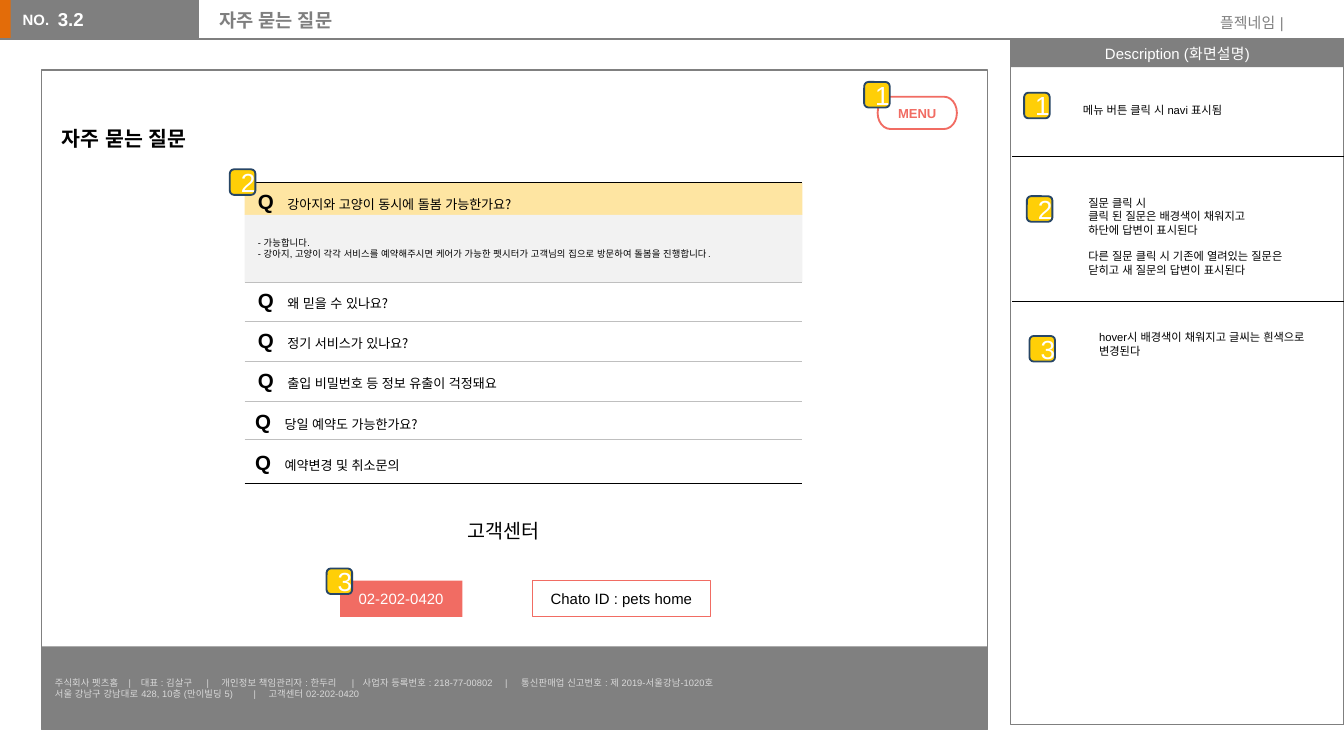
from pptx import Presentation
from pptx import util as u
from pptx.dml.color import RGBColor
from pptx.enum import shapes, text
from pptx.oxml.ns import qn
from lxml import etree

WHITE = RGBColor(0xFF, 0xFF, 0xFF)
BLACK = RGBColor(0, 0, 0)
GRAY = RGBColor(0x7F, 0x7F, 0x7F)
FRAME = RGBColor(0x80, 0x80, 0x80)
RULE = RGBColor(0xBF, 0xBF, 0xBF)
PALE = RGBColor(0xD9, 0xD9, 0xD9)
ANSWER = RGBColor(0xF2, 0xF2, 0xF2)
ORANGE = RGBColor(0xE3, 0x6C, 0x09)
CORAL = RGBColor(0xF1, 0x6C, 0x63)
CREAM = RGBColor(0xFE, 0xE5, 0xA2)
YELLOW = RGBColor(0xFF, 0xCF, 0x07)
NAVY = RGBColor(0x27, 0x46, 0x66)
LATIN, KOREAN = "Arial", "Noto Sans CJK KR"
LEFT, CENTER, RIGHT = text.PP_ALIGN.LEFT, text.PP_ALIGN.CENTER, text.PP_ALIGN.RIGHT
TOP, MIDDLE = text.MSO_ANCHOR.TOP, text.MSO_ANCHOR.MIDDLE
KIND = shapes.MSO_SHAPE
BADGE = 0.19

prs = Presentation()
prs.slide_width, prs.slide_height = u.Inches(10), u.Inches(10 * 9 / 16)
slide = prs.slides.add_slide(prs.slide_layouts[1])


def inches(*values):
    return [u.Inches(v) for v in values]


def add_run(par, words, size, color, bold=False, font=LATIN):
    run = par.add_run()
    run.text = words
    run.font.size, run.font.bold, run.font.name = u.Pt(size), bold, font
    run.font.color.rgb = color
    props = run.font._element
    props.set("lang", "ko-KR")
    props.find(qn("a:latin")).addnext(etree.Element(qn("a:ea"), typeface=font))


def set_tabs(par, stops):
    tabs = etree.SubElement(par._p.get_or_add_pPr(), qn("a:tabLst"))
    for stop in stops:
        etree.SubElement(tabs, qn("a:tab"), pos=str(u.Inches(stop)), algn="l")


def write(holder, lines, size=6, color=BLACK, bold=False, font=LATIN,
          align=LEFT, anchor=TOP, margins=(0.1, 0.05)):
    """Fill a shape with lines; returns its paragraphs."""
    frame = holder.text_frame
    frame.word_wrap, frame.auto_size = True, text.MSO_AUTO_SIZE.NONE
    frame.vertical_anchor = anchor
    frame.margin_left = frame.margin_right = u.Inches(margins[0])
    frame.margin_top = frame.margin_bottom = u.Inches(margins[1])
    for i, words in enumerate(lines):
        par = frame.add_paragraph() if i else frame.paragraphs[0]
        par.alignment = align
        if words:
            add_run(par, words, size, color, bold, font)
    return frame.paragraphs


def label(box, lines, **fmt):
    return write(slide.shapes.add_textbox(*inches(*box)), lines, **fmt)


def block(box, fill=None, line=None, weight=0.75, kind=KIND.RECTANGLE):
    part = slide.shapes.add_shape(kind, *inches(*box))
    part.shadow.inherit = False
    if fill is None:
        part.fill.background()
    else:
        part.fill.solid()
        part.fill.fore_color.rgb = fill
    if line is None:
        part.line.fill.background()
    else:
        part.line.color.rgb, part.line.width = line, u.Pt(weight)
    return part


def rule(x, y, width, color, weight):
    line = slide.shapes.add_connector(shapes.MSO_CONNECTOR.STRAIGHT, *inches(x, y, x + width, y))
    line.line.color.rgb, line.line.width = color, u.Pt(weight)
    etree.SubElement(line._element.spPr, qn("a:effectLst"))


def badge(x, y, number):
    mark = block((x, y, BADGE, BADGE), YELLOW, NAVY, 1, KIND.ROUNDED_RECTANGLE)
    write(mark, [number], size=14, color=WHITE, align=CENTER, anchor=MIDDLE)


def placeholder(holder, box, words, **fmt):
    holder.left, holder.top, holder.width, holder.height = inches(*box)
    par = write(holder, [words], **fmt)[0]
    props = par._p.get_or_add_pPr()
    props.set("marL", "0")
    props.set("indent", "0")
    etree.SubElement(props, qn("a:buNone"))
    slide.shapes._spTree.append(holder._element)  # bring above the bar


def header(x, y, height):
    block((x - 0.01, y, 0.12, height), ORANGE)
    block((x + 0.08, y, 1.4, height), GRAY)
    label((x + 0.07, y + 0.03, 0.41, 0.24), ["NO."], size=8, color=WHITE, bold=True)
    rule(x, y + height, 7.66, GRAY, 0.75)
    label((x + 8.93, y + 0.05, 0.72, 0.24), ["플젝네임 |"], size=8, color=GRAY, align=RIGHT)
    placeholder(slide.shapes.title, (x + 1.53, y - 0.01, 5.61, 0.32), "자주 묻는 질문", size=10,
                color=GRAY, bold=True, font=KOREAN, margins=(0.1, 0.1), anchor=MIDDLE)
    placeholder(slide.placeholders[1], (x + 0.43, y + 0.01, 1.1, 0.31), "3.2", size=10,
                color=WHITE, bold=True, margins=(0, 0.05))


def description(x, y, width, height, notes):
    bar = block((x, y, width, 0.21), GRAY)
    write(bar, ["Description (화면설명)"], size=8, color=WHITE, align=CENTER,
          anchor=MIDDLE, margins=(0.09, 0.04))
    block((x, y, width, height), line=GRAY)
    for dy in (0.87, 1.95):
        rule(x + 0.01, y + dy, width - 0.01, BLACK, 0.25)
    for i, (badge_y, note_x, note_y, note_h, lines) in enumerate(notes):
        badge(x + 0.1 + 0.02 * i, y + badge_y, str(i + 1))
        pars = label((x + note_x, y + note_y, 1.83, note_h), lines)
        if len(lines) > 1:
            pars[-1].space_before = u.Pt(7)


def question(holder, words, anchor=TOP):
    par = write(holder, [""], anchor=anchor)[0]
    set_tabs(par, [0.22])
    add_run(par, "Q", 11, BLACK, True)
    add_run(par, "\t", 14, BLACK)
    add_run(par, words, 7, BLACK, font=KOREAN)


def faq(x, y, width, opened, answer, others):
    question(block((x, y, width, 0.24), CREAM), opened, MIDDLE)
    write(block((x, y + 0.24, width, 0.5), ANSWER), answer, size=5, anchor=MIDDLE)
    for dy in (0.74, 1.03, 1.33, 1.63, 1.91):
        rule(x, y + dy, width, RULE, 0.5)
    for dy in (0, 2.24):
        rule(x, y + dy, width, BLACK, 0.5)
    rows = zip(others, (0, 0, 0, 0.02, 0.02), (0.69, 0.99, 1.29, 1.59, 1.9))
    for words, shift, dy in rows:
        row = (x - shift, y + dy, 3.54, 0.34)
        question(slide.shapes.add_textbox(*inches(*row)), words)
    badge(x - 0.11, y - 0.1, "2")


def contact(x, y):
    label((x + 0.85, y - 0.51, 0.99, 0.28), ["고객센터"], size=10.5, font=KOREAN)
    phone = block((x, y, 0.91, 0.27), CORAL)
    write(phone, ["02-202-0420"], size=8, color=WHITE, align=CENTER, anchor=MIDDLE)
    chat = block((x + 1.43, y, 1.33, 0.27), line=CORAL, weight=0.5)
    write(chat, ["Chato ID : pets home"], size=8, align=CENTER, anchor=MIDDLE)
    badge(x - 0.1, y - 0.09, "3")


def company(box):
    lines = ["주식회사 펫츠홈\t|\t대표 : 김살구\t|\t개인정보 책임관리자 : 한두리\t|\t"
             "사업자 등록번호 : 218-77-00802\t|\t통신판매업 신고번호 : 제 2019-서울강남-1020호",
             "서울 강남구 강남대로 428, 10층 (만이빌딩 5)\t|\t고객센터 02-202-0420"]
    stops = [(0.55, 0.64, 1.13, 1.24, 2.21, 2.29, 3.35, 3.47), (1.48, 1.59)]
    pars = write(block(box, FRAME), lines, size=5, color=PALE, anchor=MIDDLE)
    for par, columns in zip(pars, stops):
        set_tabs(par, columns)


def page(x, y, width, height):
    company((x, y + 4.29, width, height - 4.29))
    block((x, y, width, height), line=FRAME)
    label((x + 0.05, y + 0.37, 1.53, 0.29), ["자주 묻는 질문"], size=11, bold=True, font=KOREAN)
    # Menu button
    menu = block((x + 6.22, y + 0.2, 0.59, 0.24), WHITE, CORAL, 1, KIND.FLOWCHART_TERMINATOR)
    write(menu, ["MENU"], size=7, color=CORAL, bold=True, align=CENTER, anchor=MIDDLE)
    badge(x + 6.12, y + 0.09, "1")
    # Questions and contact
    faq(x + 1.51, y + 0.84, 4.15, "강아지와 고양이 동시에 돌봄 가능한가요?",
        ["- 가능합니다.",
         "- 강아지, 고양이 각각 서비스를 예약해주시면 케어가 가능한 펫시터가 "
         "고객님의 집으로 방문하여 돌봄을 진행합니다."],
        ["왜 믿을 수 있나요?", "정기 서비스가 있나요?", "출입 비밀번호 등 정보 유출이 걱정돼요",
         "당일 예약도 가능한가요?", "예약변경 및 취소문의"])
    contact(x + 2.22, y + 3.8)


header(0, 0, 0.29)
description(7.52, 0.29, 2.48, 5.1, [
    (0.4, 0.44, 0.43, 0.2, ["메뉴 버튼 클릭 시 navi 표시됨"]),
    (1.17, 0.48, 1.12, 0.71, ["질문 클릭 시", "클릭 된 질문은 배경색이 채워지고", "하단에 답변이 표시된다",
                              "다른 질문 클릭 시 기존에 열려있는 질문은 닫히고 새 질문의 답변이 표시된다"]),
    (2.21, 0.56, 2.12, 0.3, ["hover시 배경색이 채워지고 글씨는 흰색으로 변경된다"]),
])
page(0.31, 0.52, 7.04, 4.91)
prs.save("out.pptx")
